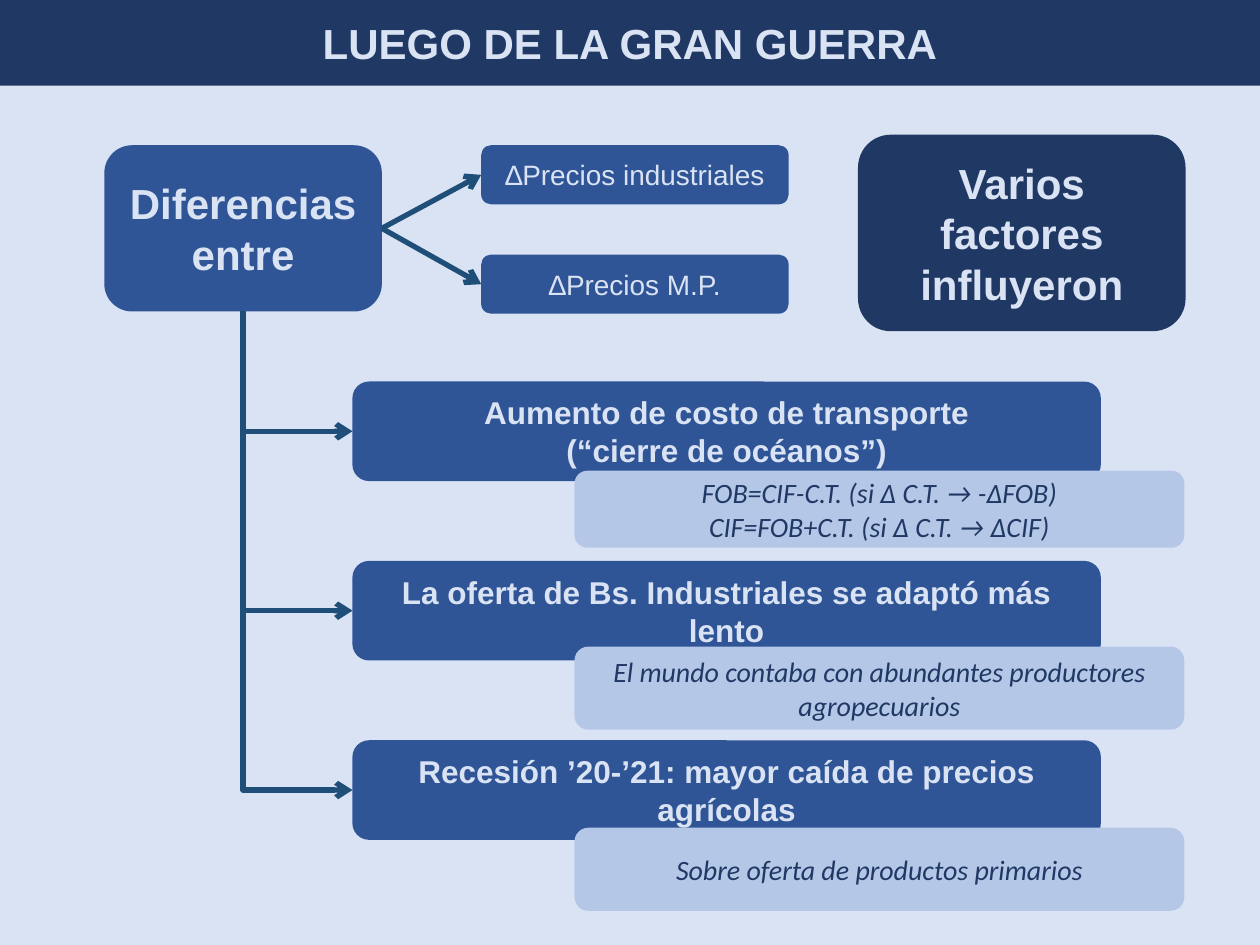
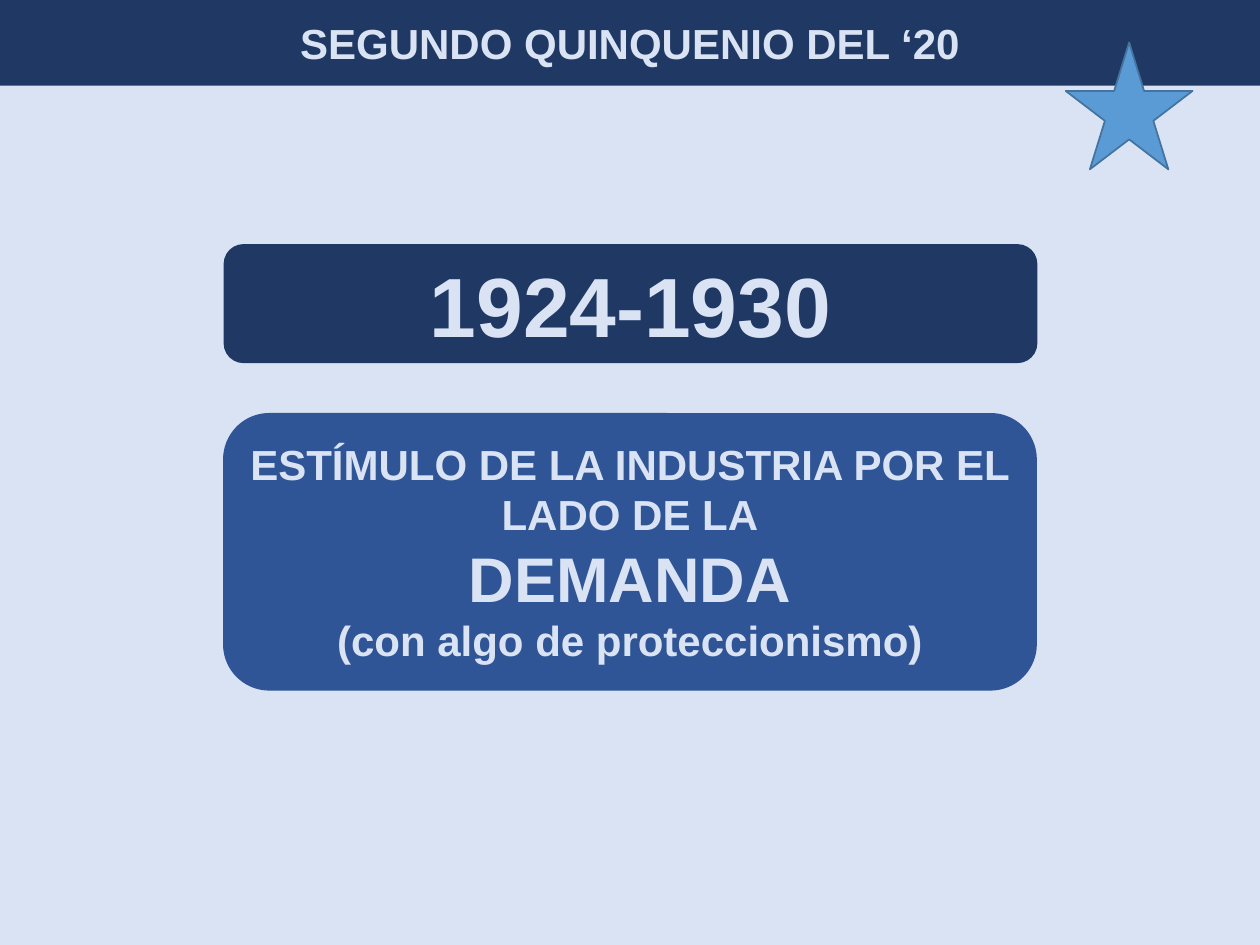
from pptx import Presentation
from pptx.dml.color import RGBColor
from pptx.enum.shapes import MSO_CONNECTOR as Link, MSO_SHAPE as Shape
from pptx.enum.text import MSO_ANCHOR as Anchor, MSO_AUTO_SIZE as Fit, PP_ALIGN as Align
from pptx.oxml.ns import qn
from pptx.util import Pt
from lxml.etree import SubElement

NAVY, BLUE, SOFT, PALE = "203864", "2F5597", "B4C7E7", "DAE3F3"
ARROW, STAR, STAR_EDGE = "1F4E79", "5B9BD5", "43739E"
WIDTH, HEIGHT, BAND = 720, 540, 49
TOP, LEFT, BOTTOM, RIGHT = range(4)

HEADING = {"name": "Arial", "size": Pt(24), "bold": True}
PRICE = {"name": "Arial", "size": Pt(16), "bold": False}
FACTOR = {**HEADING, "size": Pt(18)}
DETAIL = {"name": "Calibri", "size": Pt(16), "italic": True}
PERIOD = {**HEADING, "size": Pt(48)}
KEYWORD = {**HEADING, "size": Pt(36)}

WAR_TITLE = "LUEGO DE LA GRAN GUERRA"
DIFFERENCES = "Diferencias entre"
INFLUENCES = "Varios factores influyeron"
PRICES = ["∆Precios industriales", "∆Precios M.P."]
FACTORS = [
    (["Aumento de costo de transporte", "(“cierre de océanos”)"],
     ["FOB=CIF-C.T. (si ∆ C.T. → -∆FOB)", "CIF=FOB+C.T. (si ∆ C.T. → ∆CIF)"], 51, 44),
    (["La oferta de Bs. Industriales se adaptó más lento"],
     ["El mundo contaba con abundantes productores agropecuarios"], 49, 47.5),
    (["Recesión ’20-’21: mayor caída de precios agrícolas"],
     ["Sobre oferta de productos primarios"], 50, 47.5),
]

TWENTIES_TITLE = "SEGUNDO QUINQUENIO DEL ‘20"
YEARS = "1924-1930"
STIMULUS = [
    ("ESTÍMULO DE LA INDUSTRIA POR EL LADO DE LA", HEADING),
    ("DEMANDA", KEYWORD),
    ("(con algo de proteccionismo)", HEADING),
]


def colour(value):
    return RGBColor.from_string(value)


def paint(target, value):
    target.solid()
    target.fore_color.rgb = colour(value)


def write(box, lines, ink):
    frame = box.text_frame
    frame.word_wrap = True
    frame.auto_size = Fit.NONE
    frame.vertical_anchor = Anchor.MIDDLE
    for index, (text, style) in enumerate(lines):
        para = frame.add_paragraph() if index else frame.paragraphs[0]
        para.alignment = Align.CENTER
        span = para.add_run()
        span.text = text
        span.font.color.rgb = colour(ink)
        for name, value in style.items():
            setattr(span.font, name, value)


def add_page(deck, title):
    page = deck.slides.add_slide(deck.slide_layouts[5])
    band = page.shapes.title
    place = {"left": 0, "top": 0, "width": Pt(WIDTH), "height": Pt(BAND)}
    for name, value in place.items():
        setattr(band, name, value)
    paint(band.fill, NAVY)
    write(band, [(title, HEADING)], PALE)
    return page


def add_box(page, place, fill, lines=(), ink=PALE, kind=Shape.ROUNDED_RECTANGLE):
    box = page.shapes.add_shape(kind, *map(Pt, place))
    box.shadow.inherit = False
    paint(box.fill, fill)
    box.line.fill.background()
    write(box, lines, ink)
    return box


def add_arrow(page, kind, start, start_side, end, end_side):
    arrow = page.shapes.add_connector(kind, 0, 0, 0, 0)
    arrow.begin_connect(start, start_side)
    arrow.end_connect(end, end_side)
    arrow.line.color.rgb = colour(ARROW)
    arrow.line.width = Pt(3)
    SubElement(arrow.line._get_or_add_ln(), qn("a:tailEnd"), type="arrow")
    SubElement(arrow._element.spPr, qn("a:effectLst"))
    return arrow


def add_corner_arrow(page, start, end):
    arrow = add_arrow(page, Link.ELBOW, start, BOTTOM, end, LEFT)
    run, drop = arrow.width, arrow.height
    arrow.left += (run - drop) // 2
    arrow.top += (drop - run) // 2
    arrow.width, arrow.height = drop, run
    frame = arrow._element.spPr.find(qn("a:xfrm"))
    frame.set("rot", "16200000")
    frame.set("flipH", "1")
    arrow._element.spPr.find(qn("a:prstGeom")).set("prst", "bentConnector2")


def build_war(deck):
    page = add_page(deck, WAR_TITLE)
    differences = add_box(page, (59.6, 83, 158.6, 95), BLUE, [(DIFFERENCES, HEADING)])
    add_box(page, (490.3, 77, 187.2, 112.3), NAVY, [(INFLUENCES, HEADING)])
    for index, text in enumerate(PRICES):
        price = add_box(page, (275, 83 + 62.5 * index, 175.7, 33.8), BLUE, [(text, PRICE)])
        add_arrow(page, Link.STRAIGHT, differences, RIGHT, price, LEFT)
    for index, (claim, detail, offset, height) in enumerate(FACTORS):
        top = 218 + 102.5 * index
        factor = add_box(page, (201.4, top, 427.7, 56.9), BLUE,
                         [(text, FACTOR) for text in claim])
        add_box(page, (328.3, top + offset, 348.5, height), SOFT,
                [(text, DETAIL) for text in detail], NAVY)
        add_corner_arrow(page, differences, factor)


def build_twenties(deck):
    page = add_page(deck, TWENTIES_TITLE)
    add_box(page, (127.8, 139.5, 465, 68), NAVY, [(YEARS, PERIOD)])
    add_box(page, (127.5, 236, 465, 158.6), BLUE, STIMULUS)
    star = add_box(page, (609, 24.3, 72.5, 72.5), STAR, kind=Shape.STAR_5_POINT)
    star.line.color.rgb = colour(STAR_EDGE)
    star.line.width = Pt(1)


def main():
    deck = Presentation()
    deck.slide_width, deck.slide_height = Pt(WIDTH), Pt(HEIGHT)
    paint(deck.slide_master.background.fill, PALE)
    build_war(deck)
    build_twenties(deck)
    deck.save("out.pptx")


if __name__ == "__main__":
    main()
